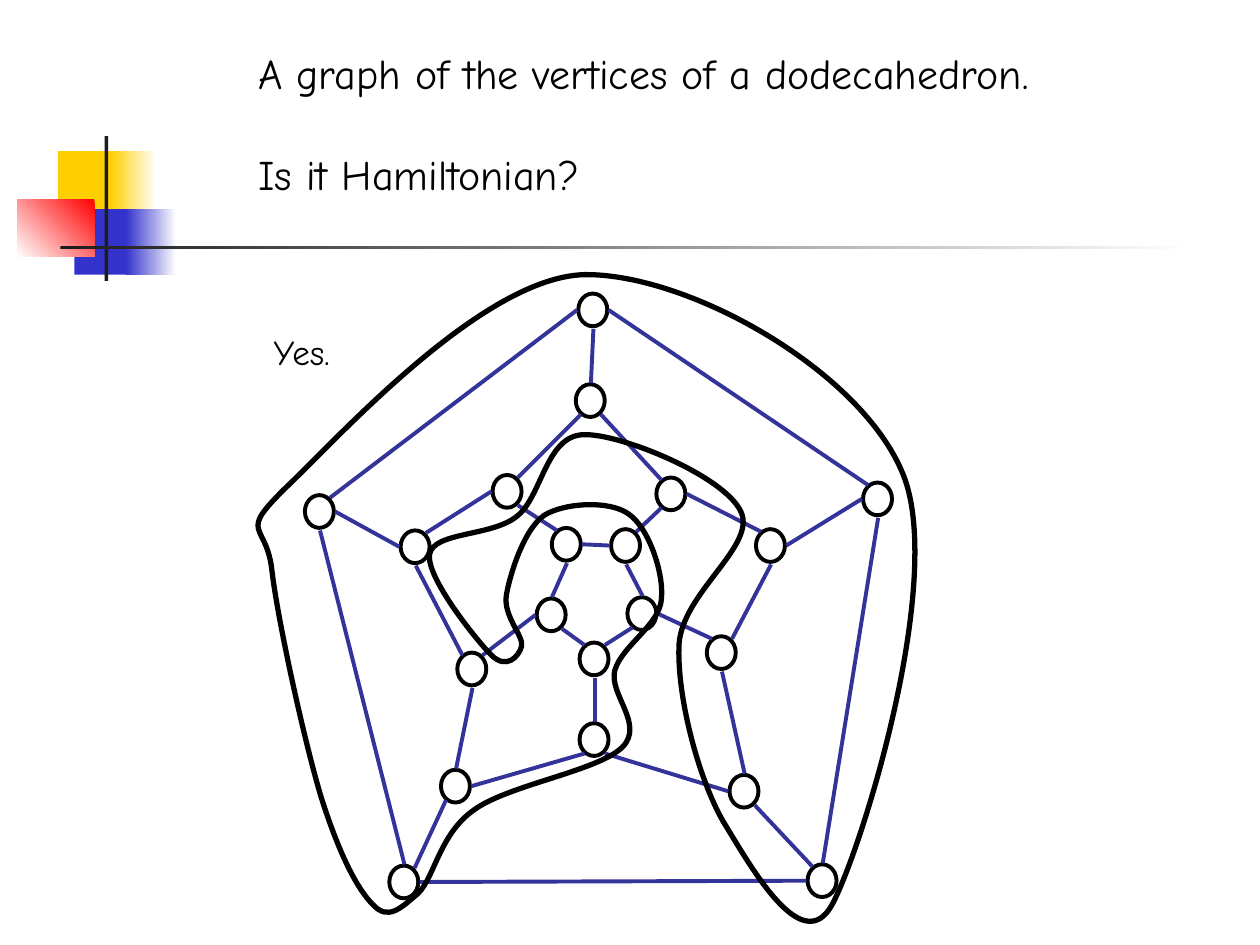
from dataclasses import dataclass

from lxml.etree import SubElement
from pptx import Presentation
from pptx.dml.color import RGBColor
from pptx.enum.shapes import MSO_CONNECTOR, MSO_SHAPE
from pptx.enum.text import MSO_AUTO_SIZE, PP_ALIGN
from pptx.oxml.ns import qn
from pptx.util import Pt

PX = 9144


@dataclass(frozen=True)
class Theme:
    font: str = "Comic Neue"
    heading_size: int = 24
    answer_size: int = 20
    edge_width: float = 2.25
    tour_width: float = 3
    black: str = "000000"
    white: str = "FFFFFF"
    yellow: str = "FFCF01"
    blue: str = "3333CC"
    red: str = "FF0000"
    rule: str = "1C1C1C"
    edge: str = "333399"


THEME = Theme()

SITES = {
    "N": (12, -1), "NE": (20, 2), "E": (24, 13), "SE": (20, 24),
    "S": (12, 28), "SW": (4, 24), "W": (-1, 13), "NW": (4, 2),
}

RINGS = {
    "outer": [(359, 33), (585, 183), (541, 486), (209, 487), (142, 193)],
    "middle": [(357, 105), (421, 179), (500, 220), (461, 305), (479, 415),
               (360, 374), (250, 411), (263, 318), (218, 221), (291, 177)],
    "inner": [(338, 219), (385, 220), (398, 274), (360, 310), (326, 275)],
}

EDGES = {
    ("outer", "outer"): [
        (0, "E", 1, "NW"), (1, "S", 2, "N"), (2, "W", 3, "E"),
        (3, "N", 4, "S"), (4, "NE", 0, "W")],
    ("outer", "middle"): [
        (0, "S", 0, "N"), (1, "W", 2, "E"), (2, "NW", 4, "SE"),
        (3, "NE", 6, "SW"), (4, "E", 8, "W")],
    ("middle", "middle"): [
        (0, "SE", 1, "NW"), (1, "E", 2, "NW"), (2, "S", 3, "NE"),
        (3, "S", 4, "N"), (4, "W", 5, "SE"), (5, "SW", 6, "E"),
        (6, "N", 7, "S"), (7, "NW", 8, "S"), (8, "NE", 9, "W"),
        (9, "NE", 0, "SW")],
    ("middle", "inner"): [
        (1, "SW", 1, "NE"), (3, "NW", 2, "E"), (5, "N", 3, "S"),
        (7, "NE", 4, "W"), (9, "SE", 0, "NW")],
    ("inner", "inner"): [
        (0, "E", 1, "W"), (1, "S", 2, "N"), (2, "SW", 3, "NE"),
        (3, "NW", 4, "SE"), (4, "N", 0, "S")],
}

TOUR_START = (128, 186)
TOUR_CURVES = [
    (169, 147), (283, 20), (364, 18), (446, 17), (584, 94), (617, 177),
    (650, 260), (585, 471), (561, 517), (537, 563), (495, 486), (474, 452),
    (454, 417), (437, 352), (439, 311), (442, 270), (501, 233), (488, 206),
    (475, 178), (393, 144), (363, 145), (333, 146), (330, 195), (310, 210),
    (290, 226), (244, 222), (241, 240), (238, 258), (278, 308), (290, 320),
    (302, 332), (312, 321), (314, 313), (316, 305), (299, 289), (302, 272),
    (305, 255), (316, 220), (332, 209), (348, 199), (384, 197), (399, 208),
    (415, 219), (427, 255), (425, 275), (424, 296), (394, 312), (388, 332),
    (383, 351), (412, 375), (394, 393), (375, 412), (303, 423), (276, 443),
    (249, 462), (245, 496), (232, 509), (218, 521), (208, 531), (196, 518),
    (183, 505), (169, 477), (155, 433), (142, 390), (121, 295), (116, 254),
    (112, 213), (87, 226), TOUR_START,
]


def color(value):
    return RGBColor.from_string(value)


def add_preset(shapes, kind, left, top, width, height):
    shape = shapes.add_shape(kind, left * PX, top * PX, width * PX, height * PX)
    shape.shadow.inherit = False
    return shape


def add_block(shapes, left, top, width, height, fill, fade_to=None, angle=0):
    shape = add_preset(shapes, MSO_SHAPE.RECTANGLE, left, top, width, height)
    shape.line.fill.background()
    if fade_to is None:
        shape.fill.solid()
        shape.fill.fore_color.rgb = color(fill)
        return
    shape.fill.gradient()
    shape.fill.gradient_angle = angle
    for stop, value in zip(shape.fill.gradient_stops, (fill, fade_to)):
        stop.color.rgb = color(value)


def set_outline(shape, value, width):
    shape.line.color.rgb = color(value)
    shape.line.width = Pt(width)


def add_text(shapes, left, top, width, height, lines, size,
             align=PP_ALIGN.LEFT, gap=0):
    shape = shapes.add_textbox(left * PX, top * PX, width * PX, height * PX)
    frame = shape.text_frame
    frame.word_wrap = True
    frame.auto_size = MSO_AUTO_SIZE.SHAPE_TO_FIT_TEXT
    frame.margin_left = frame.margin_right = 30 * PX
    frame.margin_top = frame.margin_bottom = 5 * PX
    for index, line in enumerate(lines):
        paragraph = frame.add_paragraph() if index else frame.paragraphs[0]
        paragraph.text = line
        paragraph.alignment = align
        if index:
            paragraph.space_before = Pt(gap)
        paragraph.font.name = THEME.font
        paragraph.font.size = Pt(size)
        paragraph.font.color.rgb = color(THEME.black)


def add_ornament(slide, left, top):
    blocks = [
        (32, 12, 48, 52, THEME.yellow),
        (74, 12, 36, 52, THEME.yellow, THEME.white),
        (45, 58, 46, 52, THEME.blue),
        (86, 58, 40, 52, THEME.blue, THEME.white),
        (0, 50, 61, 46, THEME.red, THEME.white, 225),
        (69, 0, 3, 115, THEME.rule),
        (34, 87, 900, 3, THEME.rule, THEME.white),
    ]
    for x, y, *rest in blocks:
        add_block(slide.shapes, left + x, top + y, *rest)


def add_edge(shapes, start, end):
    connector = shapes.add_connector(
        MSO_CONNECTOR.STRAIGHT, *(value * PX for value in start + end))
    set_outline(connector, THEME.edge, THEME.edge_width)
    SubElement(connector._element.spPr, qn("a:effectLst"))


def add_graph(slide, left, top):
    shapes = slide.shapes.add_group_shape().shapes
    for ring in RINGS.values():
        for x, y in ring:
            vertex = add_preset(shapes, MSO_SHAPE.OVAL, left + x, top + y, 23, 26)
            vertex.fill.background()
            set_outline(vertex, THEME.black, THEME.edge_width)

    def site_point(ring, index, site):
        x, y = RINGS[ring][index]
        dx, dy = SITES[site]
        return left + x + dx, top + y + dy

    for (first_ring, second_ring), edges in EDGES.items():
        for first, first_site, second, second_site in edges:
            add_edge(shapes, site_point(first_ring, first, first_site),
                     site_point(second_ring, second, second_site))


def curve_segments(shape):
    outline = next(shape._element.iter(qn("a:path")))
    segments = outline.findall(qn("a:lnTo"))
    for index in range(0, len(segments), 3):
        curve = SubElement(outline, qn("a:cubicBezTo"))
        segments[index].addprevious(curve)
        for segment in segments[index:index + 3]:
            curve.append(segment[0])
            outline.remove(segment)


def add_answer(slide, left, top):
    shapes = slide.shapes.add_group_shape().shapes
    add_text(shapes, left + 83, top + 57, 113, 44, ["Yes."],
             THEME.answer_size, align=PP_ALIGN.CENTER)
    builder = shapes.build_freeform(*TOUR_START, scale=PX)
    builder.add_line_segments(TOUR_CURVES, close=True)
    tour = builder.convert_to_shape(left * PX, top * PX)
    curve_segments(tour)
    tour.shadow.inherit = False
    tour.fill.background()
    set_outline(tour, THEME.black, THEME.tour_width)


def main():
    presentation = Presentation()
    presentation.slide_width = 1000 * PX
    presentation.slide_height = 750 * PX
    slide = presentation.slides.add_slide(presentation.slide_layouts[6])
    add_ornament(slide, 14, 108)
    add_text(slide.shapes, 175, 33, 742, 130,
             ["A graph of the vertices of a dodecahedron.", "Is it Hamiltonian?"],
             THEME.heading_size, gap=29)
    add_graph(slide, 100, 200)
    add_answer(slide, 100, 200)
    presentation.save("out.pptx")


if __name__ == "__main__":
    main()
